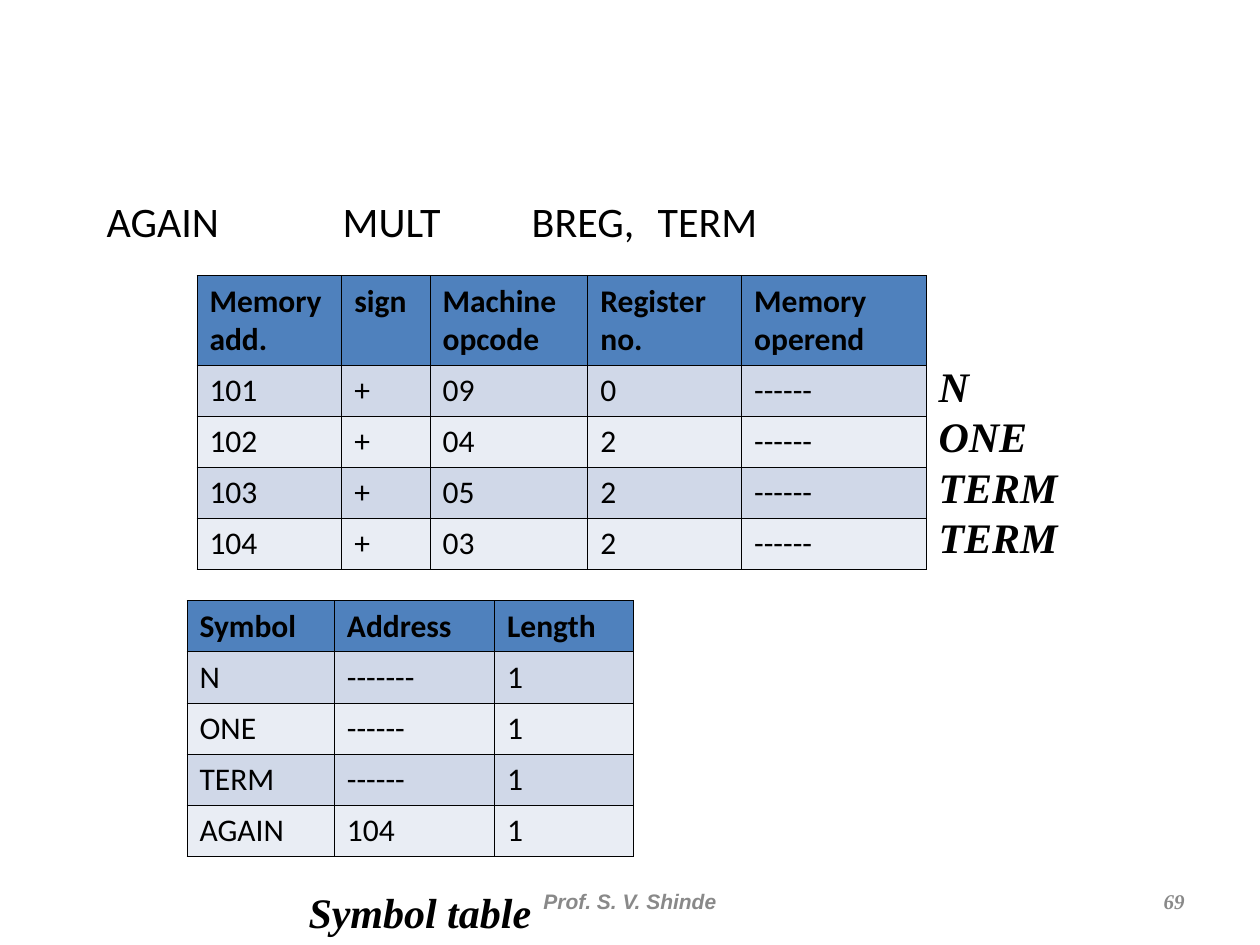
from dataclasses import dataclass

from lxml import etree
from pptx import Presentation
from pptx.dml.color import RGBColor
from pptx.enum.text import MSO_ANCHOR, MSO_AUTO_SIZE, PP_ALIGN
from pptx.oxml.ns import qn
from pptx.util import Cm, Pt

LEFT, CENTER, RIGHT = PP_ALIGN.LEFT, PP_ALIGN.CENTER, PP_ALIGN.RIGHT
TOP, MIDDLE = MSO_ANCHOR.TOP, MSO_ANCHOR.MIDDLE
FIT_SHAPE = MSO_AUTO_SIZE.SHAPE_TO_FIT_TEXT
BLANK_LAYOUT = 6


@dataclass(frozen=True)
class Theme:
    ink: str = "000000"
    muted: str = "898989"
    header: str = "4F81BD"
    bands: tuple = ("D0D8E8", "E9EDF4")
    body_font: str = "Calibri"
    label_font: str = "Times New Roman"
    footer_font: str = "Arial"
    large: float = 24
    table: float = 18
    footer: float = 12
    border: float = 0.45


THEME = Theme()
STATEMENT = {"name": THEME.body_font, "size": Pt(THEME.large)}
LABEL = {"name": THEME.label_font, "size": Pt(THEME.large), "bold": True, "italic": True}
FOOTER = {"name": THEME.footer_font, "size": Pt(THEME.footer), "bold": True, "italic": True}
PAGE_NUMBER = {**FOOTER, "name": THEME.label_font}
CELL = {"name": THEME.body_font, "size": Pt(THEME.table), "bold": False}
HEADER_CELL = {**CELL, "bold": True}

INSTRUCTIONS = [
    ("Memory add.", "sign", "Machine opcode", "Register no.", "Memory operend"),
    ("101", "+", "09", "0", "------"),
    ("102", "+", "04", "2", "------"),
    ("103", "+", "05", "2", "------"),
    ("104", "+", "03", "2", "------"),
]
SYMBOLS = [
    ("Symbol", "Address", "Length"),
    ("N", "-------", "1"),
    ("ONE", "------", "1"),
    ("TERM", "------", "1"),
    ("AGAIN", "104", "1"),
]


def style_font(font, style, color=THEME.ink):
    for attribute, value in style.items():
        setattr(font, attribute, value)
    font.color.rgb = RGBColor.from_string(color)


def add_text(slide, lines, left, top, width, height, style,
             color=THEME.ink, align=LEFT, anchor=TOP, wrap=True):
    frame = slide.shapes.add_textbox(Cm(left), Cm(top), Cm(width), Cm(height)).text_frame
    frame.word_wrap = wrap
    frame.vertical_anchor = anchor
    if not wrap:
        frame.auto_size = FIT_SHAPE
    frame.text = "\n".join(lines)
    for paragraph in frame.paragraphs:
        paragraph.alignment = align
        for run in paragraph.runs:
            style_font(run.font, style, color)
    return frame


def set_tabs(paragraph, indent, step, count):
    """Give a hanging indent and evenly spaced left tab stops."""
    properties = paragraph._p.get_or_add_pPr()
    properties.set("marL", str(Cm(indent)))
    properties.set("indent", str(-Cm(indent)))
    stops = etree.SubElement(properties, qn("a:tabLst"))
    for number in range(1, count + 1):
        etree.SubElement(stops, qn("a:tab"), pos=str(Cm(step * number)), algn="l")


def set_borders(cell):
    properties = cell._tc.get_or_add_tcPr()
    for side in ("lnL", "lnR", "lnT", "lnB"):
        line = etree.SubElement(properties, qn(f"a:{side}"), w=str(Pt(THEME.border)))
        fill = etree.SubElement(line, qn("a:solidFill"))
        etree.SubElement(fill, qn("a:srgbClr"), val=THEME.ink)


def add_grid(slide, rows, left, top, column_widths, header_height, row_height=1.03):
    heights = [header_height] + [row_height] * (len(rows) - 1)
    table = slide.shapes.add_table(
        len(rows), len(column_widths), Cm(left), Cm(top),
        Cm(sum(column_widths)), Cm(sum(heights))).table
    for column, width in zip(table.columns, column_widths):
        column.width = Cm(width)
    for index, (row, height, values) in enumerate(zip(table.rows, heights, rows)):
        row.height = Cm(height)
        color = THEME.bands[(index - 1) % 2] if index else THEME.header
        for cell, value in zip(row.cells, values):
            set_borders(cell)
            cell.fill.solid()
            cell.fill.fore_color.rgb = RGBColor.from_string(color)
            cell.text = value
            style_font(cell.text_frame.paragraphs[0].runs[0].font,
                       CELL if index else HEADER_CELL)


def main():
    deck = Presentation()
    deck.slide_width, deck.slide_height = Cm(25.4), Cm(19.05)
    slide = deck.slides.add_slide(deck.slide_layouts[BLANK_LAYOUT])

    statement = add_text(slide, ["AGAIN\t\tMULT\t\tBREG,\tTERM"],
                         1.9, 3.81, 22.96, 12.4, STATEMENT)
    set_tabs(statement.paragraphs[0], indent=0.95, step=2.54, count=7)

    add_text(slide, ["Prof. S. V. Shinde"], 8.68, 17.66, 8.04, 1.01,
             FOOTER, THEME.muted, CENTER, MIDDLE)
    add_text(slide, ["69"], 18.2, 17.66, 5.93, 1.01,
             PAGE_NUMBER, THEME.muted, RIGHT, MIDDLE)

    add_grid(slide, INSTRUCTIONS, 3.97, 5.56, (2.92, 1.78, 3.18, 3.1, 3.73), 1.8)
    add_text(slide, ["N", "ONE", "TERM", "TERM"], 18.67, 7.14, 2.9, 4.32,
             LABEL, wrap=False)

    add_grid(slide, SYMBOLS, 3.77, 12.11, (2.97, 3.23, 2.8), 1.03)
    add_text(slide, ["Symbol table"], 5.97, 17.75, 5.0, 1.27, LABEL, wrap=False)

    deck.save("out.pptx")


if __name__ == "__main__":
    main()
